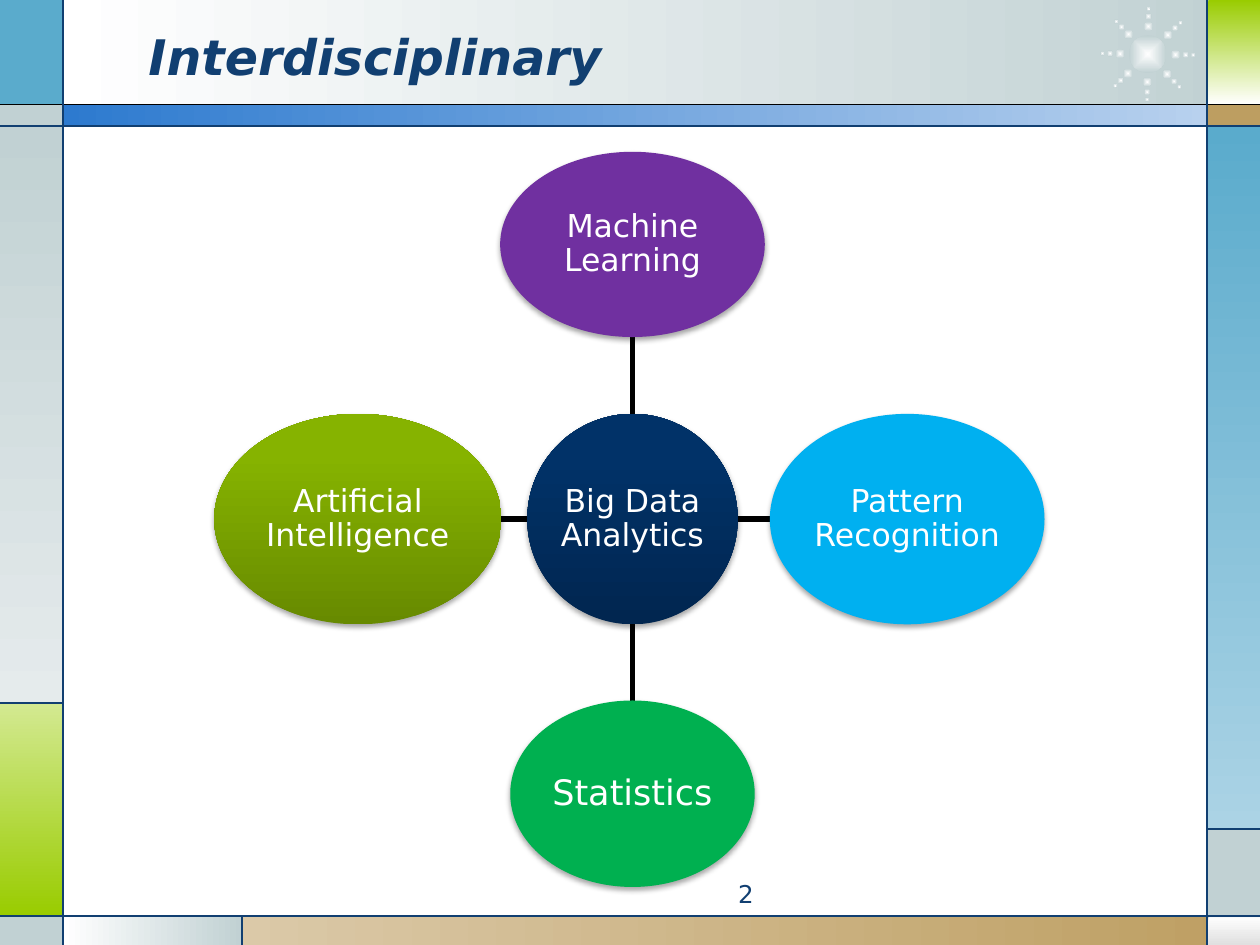
from dataclasses import dataclass
from itertools import product
from math import cos, radians, sin
from typing import Optional

from lxml.etree import SubElement
from pptx import Presentation
from pptx.dml.color import RGBColor
from pptx.enum.shapes import MSO_CONNECTOR as Link, MSO_SHAPE as Preset
from pptx.enum.text import MSO_ANCHOR as Anchor, PP_ALIGN as Align
from pptx.oxml.ns import qn
from pptx.util import Inches, Pt

COLUMNS, ROWS = 100, 75
CELL = Inches(0.1)
FONT = "DejaVu Sans"
NAVY, BLACK, WHITE = "113F71", "000000", "FFFFFF"
GREY, SKY, LIME, TAN = "C1D1D3", "5AABCC", "99CC00", "BD9E61"
RIGHTWARD, DOWNWARD, UPWARD = 0, 270, 90


@dataclass(frozen=True)
class Paint:
    start: str
    end: Optional[str] = None
    angle: int = RIGHTWARD
    reach: float = 1.0
    radial: bool = False


@dataclass(frozen=True)
class Area:
    left: float
    top: float
    width: float
    height: float


@dataclass(frozen=True)
class Panel:
    area: Area
    paint: Paint


@dataclass(frozen=True)
class Rule:
    x1: float
    y1: float
    x2: float
    y2: float
    color: str = NAVY
    weight: float = 0.75


@dataclass(frozen=True)
class Topic:
    label: str
    across: int
    down: int
    width: float
    height: float
    paint: Paint
    size: int = 18


PANELS = [
    Panel(Area(5, 0, 92.7, 8.4), Paint(WHITE, GREY)),
    Panel(Area(0, 0, 5, 8.4), Paint(SKY)),
    Panel(Area(0, 8.3, 5, 1.7), Paint(GREY)),
    Panel(Area(0, 10, 5, 45.8), Paint(GREY, "E5EBEC", DOWNWARD)),
    Panel(Area(0, 55.8, 5, 16.9), Paint("D3E991", LIME, DOWNWARD)),
    Panel(Area(0, 72.7, 5, 2.3), Paint(GREY)),
    Panel(Area(5, 72.7, 14.2, 2.3), Paint(WHITE, GREY)),
    Panel(Area(19.2, 72.7, 80.8, 2.3), Paint("DBC9A8", TAN)),
    Panel(Area(95.9, 72.7, 4.1, 2.3), Paint(WHITE, "E0E0E0", DOWNWARD)),
    Panel(Area(95.8, 65.8, 4.2, 7), Paint(GREY)),
    Panel(Area(95.8, 10, 4.2, 55.8), Paint(SKY, "ABD3E5", DOWNWARD)),
    Panel(Area(95.8, 8.3, 4.2, 1.7), Paint(TAN)),
    Panel(Area(95.9, 0, 4.1, 8.3), Paint(LIME, WHITE, DOWNWARD)),
    Panel(Area(5, 8.3, 90.9, 1.7), Paint("2D7ACF", "B8D1EE")),
]
RULES = [
    Rule(0, 8.3, COLUMNS, 8.3, BLACK),
    Rule(0, 10, COLUMNS, 10),
    Rule(0, 72.7, COLUMNS, 72.7),
    Rule(5, 0, 5, ROWS),
    Rule(95.8, 0, 95.8, ROWS),
    Rule(0, 55.8, 5, 55.8),
    Rule(19.2, 72.7, 19.2, ROWS),
    Rule(95.8, 65.8, COLUMNS, 65.8),
]
STAR_X, STAR_Y = 91.1, 4.3
STAR_DOTS = [(2.2, 0.75), (3, 0.5), (3.6, 0.35)]
HUB_X, HUB_Y, ARM = 50.2, 41.2, 21.8
HUB = Topic("Big Data Analytics", 0, 0, 16.7, 16.7,
            Paint("012650", "013268", UPWARD, 0.8))
TOPICS = [
    Topic("Machine Learning", 0, -1, 21, 14.7, Paint("7030A0")),
    Topic("Pattern Recognition", 1, 0, 21.8, 16.7, Paint("00B0F0")),
    Topic("Statistics", 0, 1, 19.4, 14.8, Paint("00B050"), 20),
    Topic("Artificial Intelligence", -1, 0, 22.8, 16.7,
          Paint("678A00", "86B300", UPWARD, 0.8)),
]


def rgb(color: str) -> RGBColor:
    return RGBColor.from_string(color)


def cells(*lengths: float) -> list[int]:
    return [round(length * CELL) for length in lengths]


def place(area: Area) -> list[int]:
    return cells(area.left, area.top, area.width, area.height)


def centred(x: float, y: float, width: float, height: float) -> Area:
    return Area(x - width / 2, y - height / 2, width, height)


def apply_paint(shape, paint: Paint) -> None:
    if paint.end is None:
        shape.fill.solid()
        shape.fill.fore_color.rgb = rgb(paint.start)
        return
    shape.fill.gradient()
    shape.fill.gradient_angle = paint.angle
    first, last = shape.fill.gradient_stops
    first.color.rgb, first.position = rgb(paint.start), 0
    last.color.rgb, last.position = rgb(paint.end), paint.reach
    if paint.radial:
        gradient = shape._element.spPr.find(qn("a:gradFill"))
        gradient.remove(gradient.find(qn("a:lin")))
        route = SubElement(gradient, qn("a:path"), {"path": "shape"})
        SubElement(route, qn("a:fillToRect"), dict.fromkeys("ltrb", "50000"))


def add_shape(page, preset: Preset, area: Area, paint: Paint):
    shape = page.shapes.add_shape(preset, *place(area))
    shape.shadow.inherit = False
    shape.line.fill.background()
    apply_paint(shape, paint)
    return shape


def add_rule(page, rule: Rule) -> None:
    line = page.shapes.add_connector(
        Link.STRAIGHT, *cells(rule.x1, rule.y1, rule.x2, rule.y2))
    line.line.color.rgb = rgb(rule.color)
    line.line.width = Pt(rule.weight)
    SubElement(line._element.spPr, qn("a:effectLst"))


def write(shape, text: str, size: int, color: str, align: Align, strong: bool = False):
    frame = shape.text_frame
    frame.word_wrap = True
    para = frame.paragraphs[0]
    para.alignment = align
    span = para.add_run()
    span.text = text
    font = span.font
    font.name, font.size, font.color.rgb = FONT, Pt(size), rgb(color)
    font.bold = font.italic = strong
    return frame


def add_star(page) -> None:
    paint = Paint(WHITE, GREY, radial=True)
    add_shape(page, Preset.OVAL, centred(STAR_X, STAR_Y, 3, 3), paint)
    for ray, (radius, size) in product(range(8), STAR_DOTS):
        turn = radians(45 * ray + 1)
        x, y = STAR_X + radius * cos(turn), STAR_Y + radius * sin(turn)
        add_shape(page, Preset.OVAL, centred(x, y, size, size), paint)


def add_topic(page, topic: Topic) -> None:
    x, y = HUB_X + ARM * topic.across, HUB_Y + ARM * topic.down
    oval = add_shape(page, Preset.OVAL, centred(x, y, topic.width, topic.height), topic.paint)
    effects = oval._element.spPr.find(qn("a:effectLst"))
    shadow = SubElement(effects, qn("a:outerShdw"), {
        "blurRad": str(Pt(3.1)), "dist": str(Pt(1.8)), "dir": "5400000", "rotWithShape": "0"})
    tone = SubElement(shadow, qn("a:srgbClr"), {"val": BLACK})
    SubElement(tone, qn("a:alpha"), {"val": "35000"})
    frame = write(oval, topic.label, topic.size, WHITE, Align.CENTER)
    frame.vertical_anchor = Anchor.MIDDLE
    frame.margin_left = frame.margin_right = frame.margin_top = frame.margin_bottom = 0
    frame.paragraphs[0].line_spacing = 0.9


def add_spoke(page, topic: Topic) -> None:
    inner = HUB.width / 2
    outer_x, outer_y = ARM - topic.width / 2, ARM - topic.height / 2
    add_rule(page, Rule(HUB_X + inner * topic.across, HUB_Y + inner * topic.down,
                        HUB_X + outer_x * topic.across, HUB_Y + outer_y * topic.down,
                        BLACK, 3))


def main() -> None:
    deck = Presentation()
    deck.slide_width, deck.slide_height = cells(COLUMNS, ROWS)
    page = deck.slides.add_slide(deck.slide_layouts[6])
    for panel in PANELS:
        add_shape(page, Preset.RECTANGLE, panel.area, panel.paint)
    add_star(page)
    for rule in RULES:
        add_rule(page, rule)
    title = page.shapes.add_textbox(*place(Area(10.8, 1.3, 73.3, 6.2)))
    frame = write(title, "Interdisciplinary", 28, NAVY, Align.LEFT, True)
    frame.vertical_anchor = Anchor.MIDDLE
    number = page.shapes.add_textbox(*place(Area(37.5, 69.3, 23.3, 2.7)))
    write(number, "2", 14, NAVY, Align.RIGHT)
    for topic in TOPICS:
        add_spoke(page, topic)
    for topic in [HUB, *TOPICS]:
        add_topic(page, topic)
    deck.save("out.pptx")


if __name__ == "__main__":
    main()
